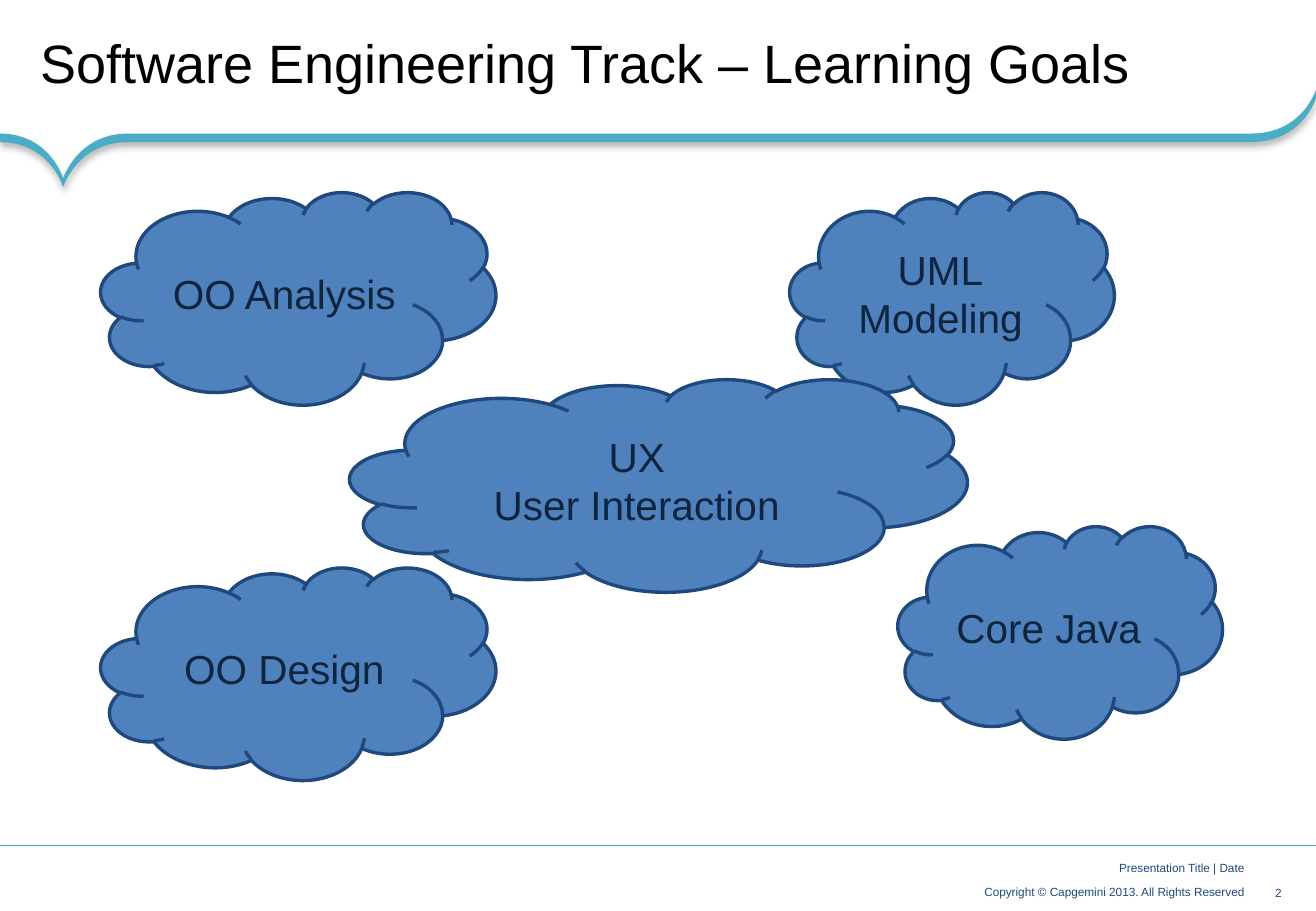
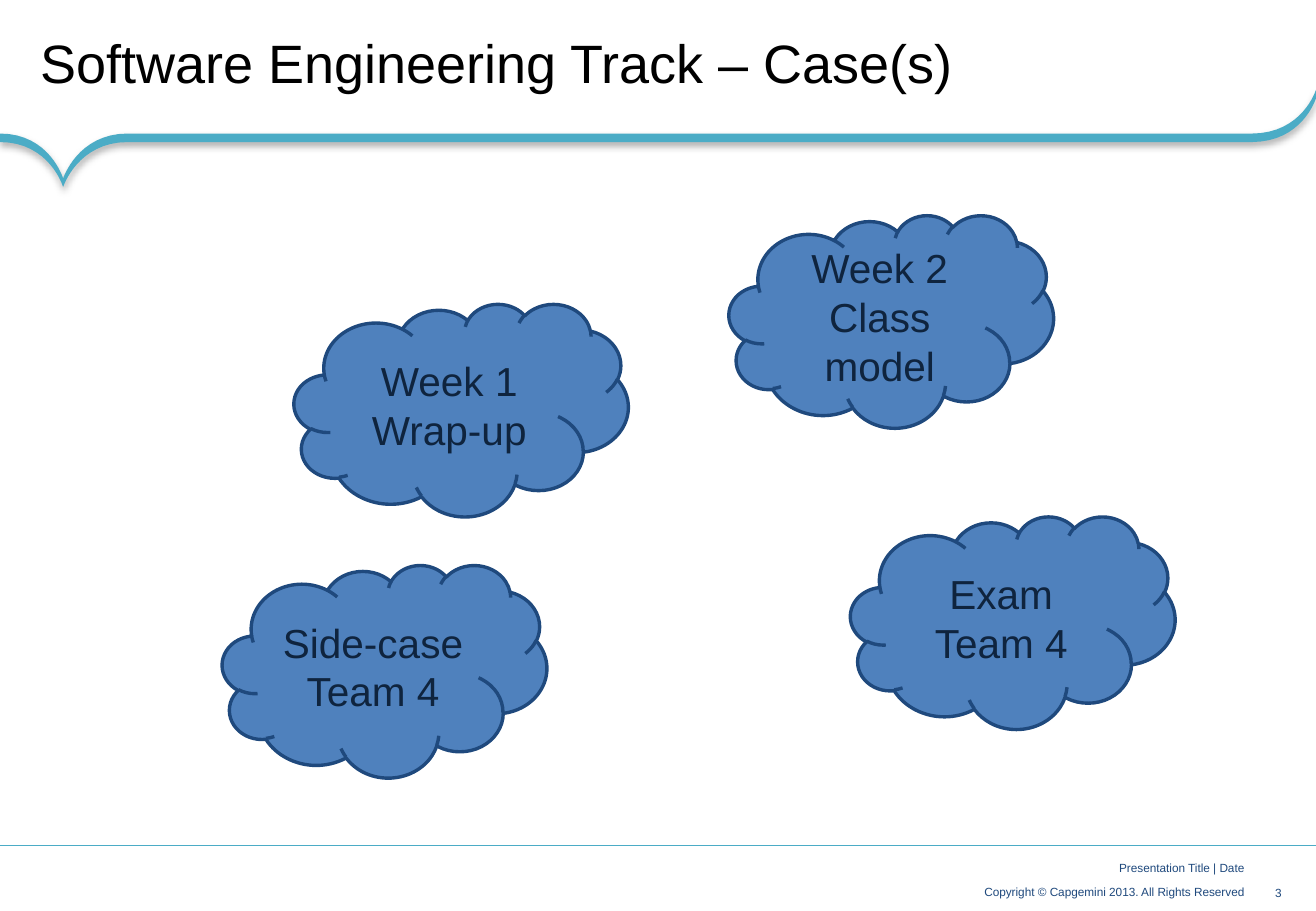
from dataclasses import dataclass
from lxml import etree
from pptx import Presentation
from pptx.dml.color import RGBColor
from pptx.enum.shapes import MSO_CONNECTOR, MSO_SHAPE
from pptx.enum.text import MSO_ANCHOR, PP_ALIGN
from pptx.oxml import parse_xml
from pptx.oxml.ns import nsdecls, qn
from pptx.util import Inches, Pt


@dataclass(frozen=True)
class Theme:
    font: str = "Arial"
    black: RGBColor = RGBColor(0x00, 0x00, 0x00)
    navy: RGBColor = RGBColor(0x1F, 0x49, 0x7D)
    dark: RGBColor = RGBColor(0x0F, 0x24, 0x3E)
    blue: RGBColor = RGBColor(0x4F, 0x81, 0xBD)
    teal: RGBColor = RGBColor(0x4B, 0xAC, 0xC6)
    title: Pt = Pt(32)
    cloud: Pt = Pt(24)
    small: Pt = Pt(7)


theme = Theme()
WIDTH, HEIGHT = 10.83, 7.5


def write(frame, text, size, color, align, anchor, insets):
    """Fill a text frame, one paragraph per line of text."""
    frame.text = text
    frame.vertical_anchor = anchor
    (frame.margin_left, frame.margin_top,
     frame.margin_right, frame.margin_bottom) = map(Inches, insets)
    for para in frame.paragraphs:
        para.alignment = align
        para.font.name = theme.font
        para.font.size = size
        para.font.color.rgb = color


def label(slide, box, text, align, anchor, inset, wrap):
    """Add a small footer text box."""
    shape = slide.shapes.add_textbox(*map(Inches, box))
    write(shape.text_frame, text, theme.small, theme.navy, align, anchor,
          [inset] * 4)
    shape.text_frame.word_wrap = wrap
    return shape


prs = Presentation()
prs.slide_width, prs.slide_height = Inches(WIDTH), Inches(HEIGHT)
layout = prs.slide_layouts[5]

# Title place, inherited by every slide
head = layout.placeholders[0]
head.left, head.top = Inches(0), Inches(0)
head.width, head.height = Inches(WIDTH), Inches(1.1)

# Slide content: title, then clouds as left, top, width, text
pages = [
    ("Software Engineering Track – Learning Goals", [
        (0.83, 1.58, 3.25, "OO Analysis"),
        (6.5, 1.58, 2.67, "UML\nModeling"),
        (2.88, 3.12, 5.08, "UX\nUser Interaction"),
        (7.39, 4.33, 2.67, "Core Java"),
        (0.83, 4.67, 3.25, "OO Design"),
    ]),
    ("Software Engineering Track – Case(s)", [
        (2.42, 2.5, 2.75, "Week 1\nWrap-up"),
        (6, 1.77, 2.67, "Week 2\nClass model"),
        (1.83, 4.65, 2.67, "Side-case\nTeam 4"),
        (7, 4.25, 2.67, "Exam\nTeam 4"),
    ]),
]
slides = [prs.slides.add_slide(layout) for page in pages]
first = slides[0]

# Band outline: three arcs, each leaving its flat end and turning to its tip
STEPS, THICK = 16, 0.07
arcs = [
    ((0, 1.1), (0.41, 1.1), (0.52, 1.47), False),
    ((1.05, 1.1), (0.64, 1.1), (0.52, 1.47), True),
    ((10.3, 1.1), (10.72, 1.1), (WIDTH, 0.74), False),
]
edge = []
for flat, bend, tip, back in arcs:
    curve = []
    for i in range(STEPS + 1):
        t = i / STEPS
        a, b = (1 - t) ** 3, 3 * t * (1 - t) ** 2
        curve.append([a * f + b * m + (1 - a - b) * e
                      for f, m, e in zip(flat, bend, tip)])
    edge += curve[::-1] if back else curve
ring = edge + [(x, y + THICK) for x, y in reversed(edge)]
points = [(Inches(x), Inches(y)) for x, y in ring]
pen = first.shapes.build_freeform(*points[0])
pen.add_line_segments(points[1:], close=True)
band = pen.convert_to_shape()
band.fill.solid()
band.fill.fore_color.rgb = theme.teal
band.line.fill.background()
band.element.spPr.append(parse_xml(
    f'<a:effectLst {nsdecls("a")}><a:outerShdw blurRad="{Pt(4)}" '
    f'dist="{Pt(2)}" dir="5400000" rotWithShape="0"><a:srgbClr val="000000">'
    '<a:alpha val="31000"/></a:srgbClr></a:outerShdw></a:effectLst>'))

# Footer rule and texts
rule = first.shapes.add_connector(
    MSO_CONNECTOR.STRAIGHT, Inches(WIDTH), Inches(6.96), Inches(0), Inches(6.96))
rule.line.color.rgb = theme.teal
rule.line.width = Pt(0.75)
etree.SubElement(rule.element.spPr, qn("a:effectLst"))
rights = label(first, (7.37, 7.24, 2.91, 0.2),
               "Copyright © Capgemini 2013. All Rights Reserved",
               PP_ALIGN.RIGHT, MSO_ANCHOR.BOTTOM, 0.04, True)
rights.text_frame.paragraphs[0].line_spacing = 0.9
date = label(first, (8.19, 7.03, 2.09, 0.21), "Presentation Title | Date",
             PP_ALIGN.RIGHT, MSO_ANCHOR.BOTTOM, 0.04, False)

# Shared parts belong to the layout
for part in (rights, date, rule, band):
    layout.shapes.element.append(part.element)

# Slides
for number, (slide, (title, clouds)) in enumerate(zip(slides, pages), 2):
    frame = slide.shapes.title.text_frame
    write(frame, title, theme.title, theme.black, PP_ALIGN.LEFT,
          MSO_ANCHOR.MIDDLE, (0.33, 0.04, 0.18, 0.04))
    frame.paragraphs[0].line_spacing = 0.85
    label(slide, (10.46, 7.29, 0.12, 0.12), str(number),
          PP_ALIGN.CENTER, MSO_ANCHOR.MIDDLE, 0, False)
    for left, top, width, text in clouds:
        cloud = slide.shapes.add_shape(
            MSO_SHAPE.CLOUD, *map(Inches, (left, top, width, 1.75)))
        cloud.shadow.inherit = False
        cloud.fill.solid()
        cloud.fill.fore_color.rgb = theme.blue
        cloud.line.color.rgb = theme.navy
        cloud.line.width = Pt(2)
        write(cloud.text_frame, text, theme.cloud, theme.dark,
              PP_ALIGN.CENTER, MSO_ANCHOR.MIDDLE, (0.1, 0.05, 0.1, 0.05))

prs.save("out.pptx")
